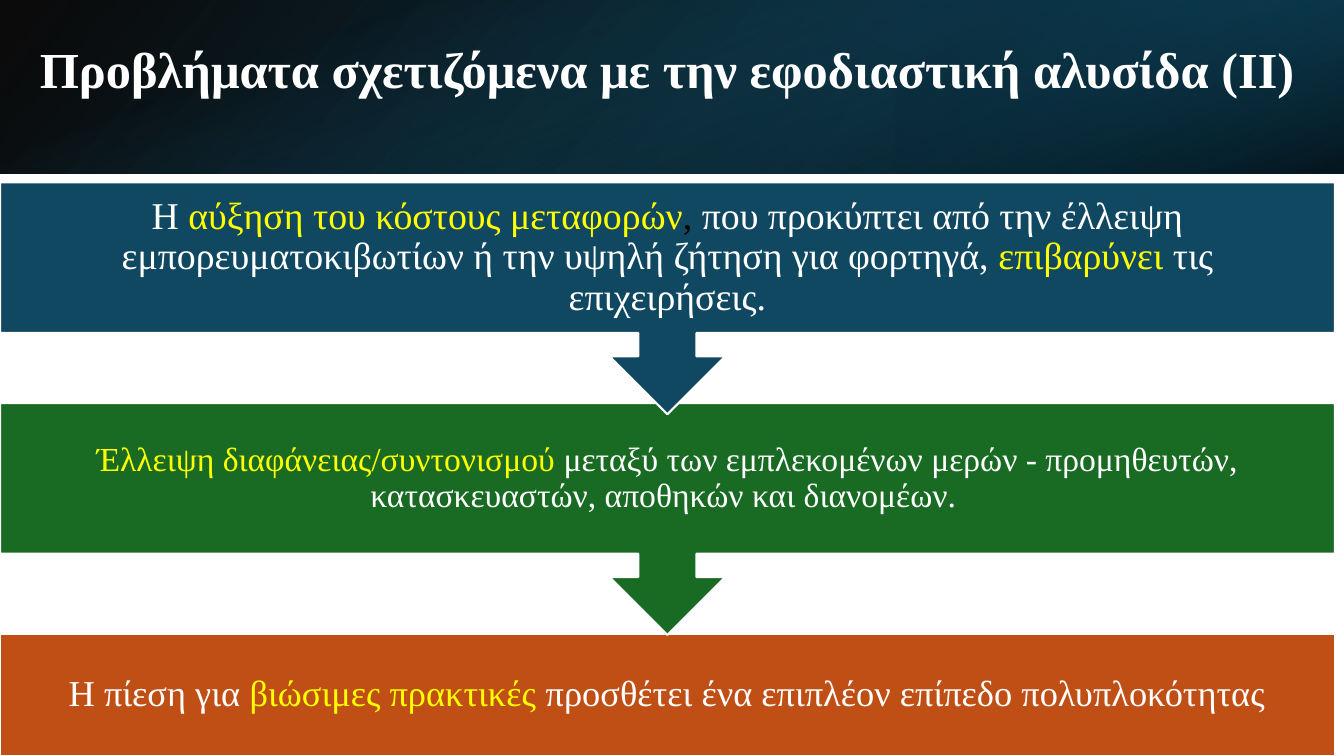
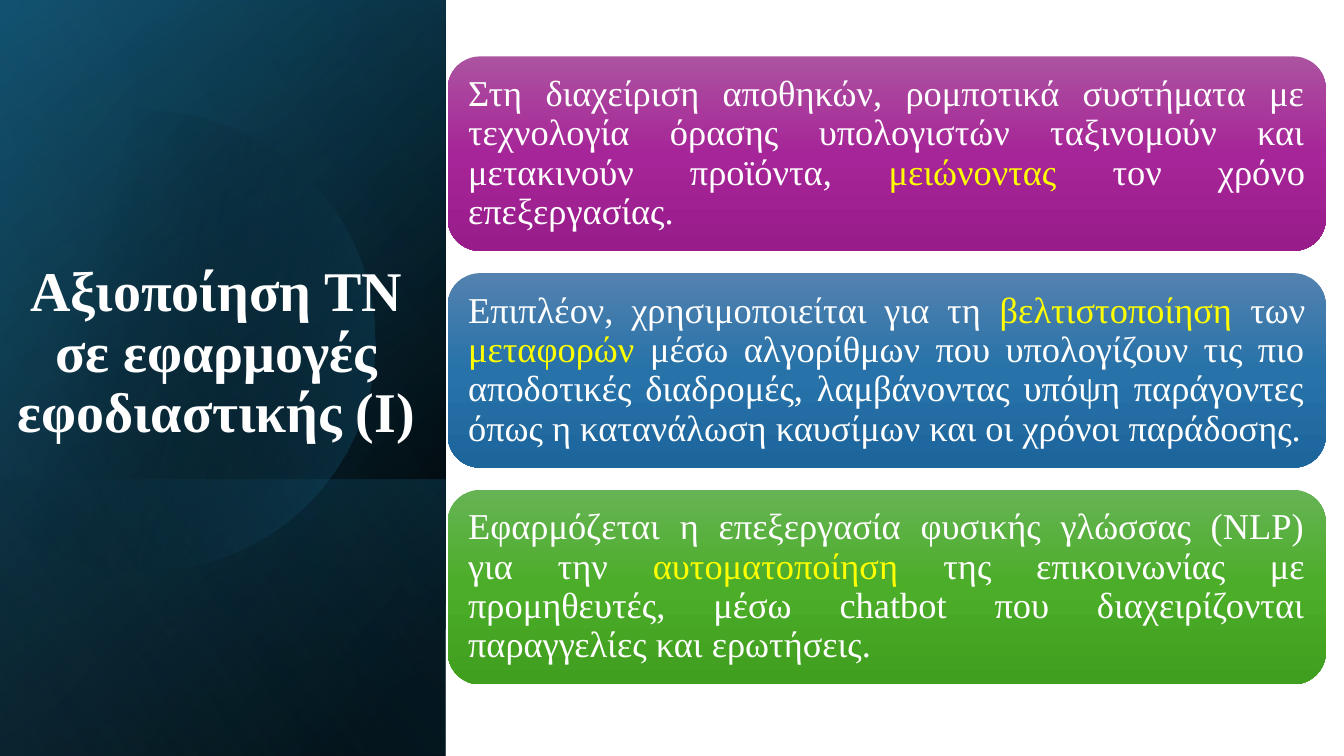
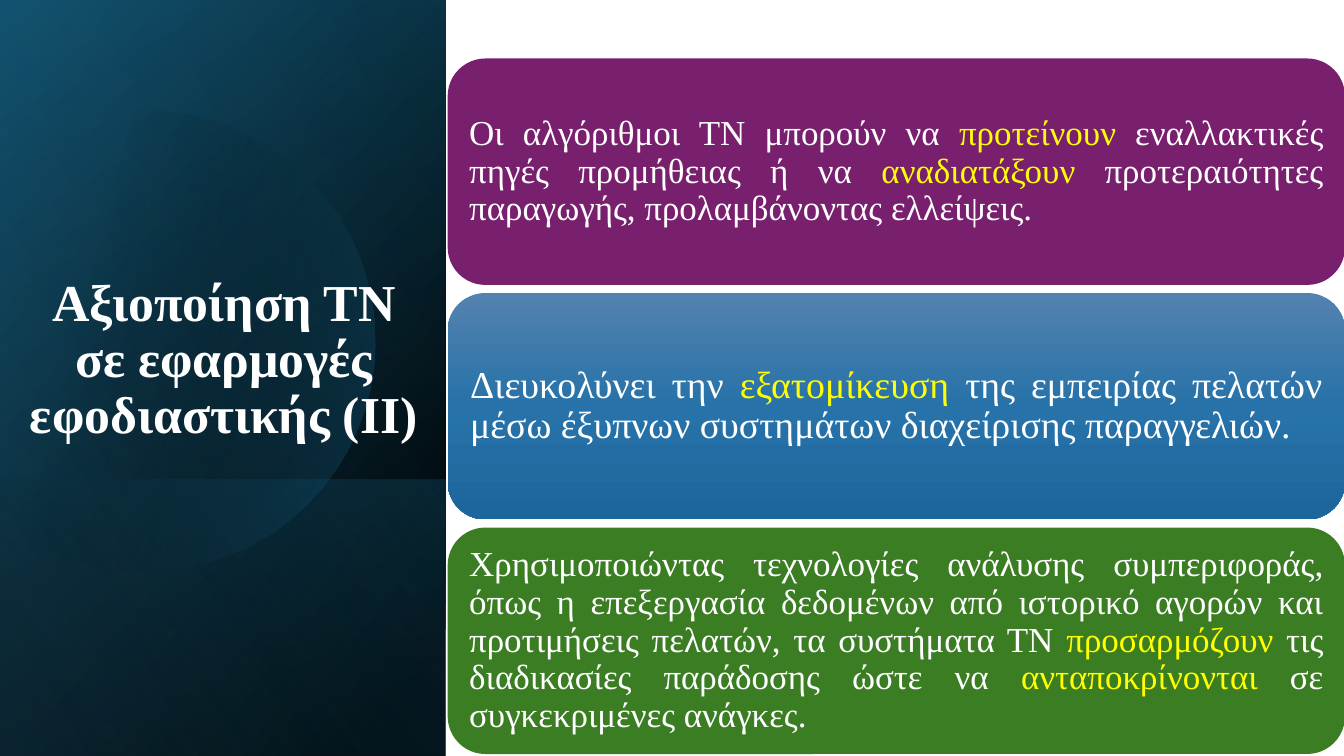
from pptx import Presentation
from pptx import util as u
from pptx.dml.color import RGBColor
from pptx.enum import shapes, text
from pptx.oxml import parse_xml
from pptx.oxml.ns import nsdecls, qn

FONT = "Times New Roman"
COLORS = {
    "white": "FFFFFF", "yellow": "FFFF00", "black": "000000",
    "navy": "104862", "teal": "156082", "deep": "0B3041", "sky": "46B1E1",
    "green": "196B24", "orange": "C04F15", "plum": "78206E", "leaf": "3B7D23",
    "purple_top": "AC53A0", "purple_mid": "A62598", "purple_low": "991C8B",
    "blue_top": "5382AF", "blue_mid": "2772A9", "blue_low": "1D669C",
    "lime_top": "66B354", "lime_mid": "4BAD28", "lime_low": "409F1E",
}
W, Y = "white", "yellow"
SLIDE_W, SLIDE_H = 13.33, 7.5
SIDEBAR_W = 4.42
CENTER, JUSTIFY = text.PP_ALIGN.CENTER, text.PP_ALIGN.JUSTIFY
MIDDLE, BOTTOM = text.MSO_ANCHOR.MIDDLE, text.MSO_ANCHOR.BOTTOM
SHAPE = shapes.MSO_SHAPE


def rgb(name):
    return RGBColor.from_string(COLORS[name])


def fill_gradient(shape, stops, angle):
    """Stops are (position %, colour, opacity %); the angle runs clockwise."""
    stop_xml = "".join(
        f'<a:gs pos="{pos * 1000}"><a:srgbClr val="{COLORS[color]}">'
        f'<a:alpha val="{alpha * 1000}"/></a:srgbClr></a:gs>'
        for pos, color, alpha in stops)
    shape.fill.background()
    properties = shape.element.spPr
    properties.replace(properties.find(qn("a:noFill")), parse_xml(
        f'<a:gradFill rotWithShape="1" {nsdecls("a")}><a:gsLst>{stop_xml}</a:gsLst>'
        f'<a:lin ang="{angle * 60000}" scaled="0"/></a:gradFill>'))


def vertical(hue):
    return [(0, hue + "_top", 100), (50, hue + "_mid", 100), (100, hue + "_low", 100)]


def add_box(slide, kind, box, fill):
    """A fill is either a colour name or the stops of a top-down gradient."""
    shape = slide.shapes.add_shape(kind, *map(u.Inches, box))
    shape.shadow.inherit = False
    shape.line.fill.background()
    if isinstance(fill, str):
        shape.fill.solid()
        shape.fill.fore_color.rgb = rgb(fill)
    else:
        fill_gradient(shape, fill, 90)
    return shape


def add_glow(slide, box, stops, angle, rotation=0, flip=True):
    """Gradient rectangle covering the box as seen after its rotation."""
    left, top, width, height = box
    if rotation == 90:
        left, top = left + (width - height) / 2, top + (height - width) / 2
        width, height = height, width
    glow = add_box(slide, SHAPE.RECTANGLE, (left, top, width, height), "navy")
    fill_gradient(glow, stops, angle)
    glow.rotation = rotation
    if flip:
        glow.element.spPr.xfrm.set("flipH", "1")


def write(shape, runs, size, align, anchor, inset=None, bold=False):
    frame = shape.text_frame
    frame.word_wrap = True
    frame.vertical_anchor = anchor
    if inset is not None:
        frame.margin_left = frame.margin_right = inset
        frame.margin_top = frame.margin_bottom = inset
    paragraph = frame.paragraphs[0]
    paragraph.alignment = align
    paragraph.line_spacing = 0.9
    for words, color in runs:
        run = paragraph.add_run()
        run.text = words
        run.font.name, run.font.size, run.font.bold = FONT, u.Pt(size), bold
        run.font.color.rgb = rgb(color)


def add_title(slide, box, words, size, anchor):
    title = slide.shapes.add_textbox(*map(u.Inches, box))
    write(title, [(words, W)], size, CENTER, anchor, bold=True)


def bezier(p0, p1, p2, p3, steps=16):
    for i in range(1, steps + 1):
        t = i / steps
        yield tuple((1 - t) ** 3 * a + 3 * (1 - t) ** 2 * t * b
                    + 3 * (1 - t) * t ** 2 * c + t ** 3 * d
                    for a, b, c, d in zip(p0, p1, p2, p3))


def add_disc(slide, left, top):
    """Faint disc, cut off along its left side."""
    start = (1.49, 1.1)
    segments = [
        [(2.46, 1.12), (3.35, 1.77), (3.63, 2.75)],
        [(3.98, 3.97), (3.28, 5.23), (2.07, 5.58)],
        [(1.31, 5.8), (0.53, 5.61), (-0.03, 5.14)],
        [(-0.15, 5.03)], [(-0.15, 1.75)], [(0, 1.61)],
        [(0.23, 1.42), (0.5, 1.28), (0.8, 1.19)],
        [(1.03, 1.13), (1.26, 1.1), (1.49, 1.1)],
    ]
    points = [start]
    for segment in segments:
        points += bezier(points[-1], *segment) if len(segment) == 3 else segment
    outline = [(u.Inches(left + x), u.Inches(top + y)) for x, y in points]
    builder = slide.shapes.build_freeform(*outline[0])
    builder.add_line_segments(outline[1:], close=True)
    disc = builder.convert_to_shape()
    disc.shadow.inherit = False
    disc.line.fill.background()
    fill_gradient(disc, [(29, "black", 0), (100, "teal", 43)], 14)


def add_header(slide, box, words):
    left, top, width, height = box
    third = width / 3
    add_glow(slide, box, [(0, "black", 96), (100, "navy", 100)], 140)
    add_glow(slide, (left + 2 * third, top, third, height),
             [(19, "deep", 68), (100, "teal", 79)], 320, 180)
    add_glow(slide, box, [(23, "teal", 0), (99, "black", 74)], 340, 90, flip=False)
    add_title(slide, (left + 0.23, top + 0.09, 12.78, 1.25), words, 36, MIDDLE)


def add_sidebar(slide, box):
    left, top, width, height = box
    foot = 2.74
    add_glow(slide, box, [(8, "black", 100), (100, "navy", 100)], 50, 90)
    add_glow(slide, box, [(0, "black", 0), (99, "teal", 46)], 30, 90)
    add_glow(slide, (left, top + height - foot, width, foot),
             [(2, "teal", 29), (100, "black", 30)], 130, 90)
    add_disc(slide, left, top)
    add_glow(slide, box, [(0, "black", 0), (99, "sky", 11)], 120, 90)


def add_flow(slide, box, steps):
    """Stacked steps, the last at the back so that each arrow overlaps the next."""
    left, top, width, height = box
    for kind, offset, step_height, fill, size, runs in reversed(steps):
        step = add_box(slide, kind, (left, top + offset, width, step_height), fill)
        step.line.color.rgb = rgb(W)
        step.line.width = u.Pt(1.5)
        write(step, runs, size, CENTER, MIDDLE, u.Pt(size * 0.56))


def add_cards(slide, box, gap, cards):
    left, top, width, height = box
    card_height = (height - gap * (len(cards) - 1)) / len(cards)
    for i, (fill, size, runs) in enumerate(cards):
        card_top = top + i * (card_height + gap)
        card = add_box(slide, SHAPE.ROUNDED_RECTANGLE,
                       (left, card_top, width, card_height), fill)
        write(card, runs, size, JUSTIFY, MIDDLE, u.Pt(size * 0.3))


def problems_slide(slide):
    add_header(slide, (0, 0, SLIDE_W, 1.72),
               "Προβλήματα σχετιζόμενα με την εφοδιαστική αλυσίδα (ΙI)")
    add_flow(slide, (0, 1.81, 13.24, 5.69), [
        (SHAPE.DOWN_ARROW_CALLOUT, 0, 2.3, "navy", 27, [
            ("H ", W), ("αύξηση του κόστους μεταφορών", Y), (", ", "black"),
            ("που προκύπτει από την έλλειψη εμπορευματοκιβωτίων ή την υψηλή "
             "ζήτηση για φορτηγά, ", W),
            ("επιβαρύνει", Y), (" τις επιχειρήσεις.", W)]),
        (SHAPE.DOWN_ARROW_CALLOUT, 2.19, 2.3, "green", 24, [
            ("Έλλειψη διαφάνειας/συντονισμού ", Y),
            ("μεταξύ των εμπλεκομένων μερών - προμηθευτών, κατασκευαστών, "
             "αποθηκών και διανομέων. ", W)]),
        (SHAPE.RECTANGLE, 4.48, 1.21, "orange", 26, [
            ("H πίεση για ", W), ("βιώσιμες πρακτικές ", Y),
            ("προσθέτει ένα επιπλέον επίπεδο πολυπλοκότητας", W)]),
    ])


def applications_slide(slide, title, title_box, title_size, cards_box, gap, cards):
    add_sidebar(slide, (0, 0, SIDEBAR_W, SLIDE_H))
    add_title(slide, title_box, title, title_size, BOTTOM)
    add_cards(slide, cards_box, gap, cards)


CARDS_I = [
    (vertical("purple"), 26, [
        ("Στη διαχείριση αποθηκών, ρομποτικά συστήματα με τεχνολογία όρασης "
         "υπολογιστών ταξινομούν και μετακινούν προϊόντα, ", W),
        ("μειώνοντας", Y), (" τον χρόνο επεξεργασίας. ", W)]),
    (vertical("blue"), 26, [
        ("Επιπλέον, χρησιμοποιείται για τη ", W), ("βελτιστοποίηση", Y),
        (" των ", W), ("μεταφορών", Y),
        (" μέσω αλγορίθμων που υπολογίζουν τις πιο αποδοτικές διαδρομές, "
         "λαμβάνοντας υπόψη παράγοντες όπως η κατανάλωση καυσίμων και οι "
         "χρόνοι παράδοσης.", W)]),
    (vertical("lime"), 26, [
        ("Εφαρμόζεται η επεξεργασία φυσικής γλώσσας (NLP) για την ", W),
        ("αυτοματοποίηση", Y),
        (" της επικοινωνίας με προμηθευτές, μέσω chatbot που διαχειρίζονται "
         "παραγγελίες και ερωτήσεις.", W)]),
]

CARDS_II = [
    ("plum", 25, [
        ("Οι αλγόριθμοι ΤΝ μπορούν να ", W), ("προτείνουν", Y),
        (" εναλλακτικές πηγές προμήθειας ή να ", W), ("αναδιατάξουν", Y),
        (" προτεραιότητες παραγωγής, προλαμβάνοντας ελλείψεις. ", W)]),
    (vertical("blue"), 27, [
        ("Διευκολύνει την ", W), ("εξατομίκευση", Y),
        (" της εμπειρίας πελατών μέσω έξυπνων συστημάτων διαχείρισης "
         "παραγγελιών.", W)]),
    ("leaf", 25, [
        ("Χρησιμοποιώντας τεχνολογίες ανάλυσης συμπεριφοράς, όπως η επεξεργασία "
         "δεδομένων από ιστορικό αγορών και προτιμήσεις πελατών, τα συστήματα "
         "ΤΝ ", W),
        ("προσαρμόζουν", Y), (" τις διαδικασίες παράδοσης ώστε να ", W),
        ("ανταποκρίνονται", Y), (" σε συγκεκριμένες ανάγκες.", W)]),
]


def main():
    deck = Presentation()
    deck.slide_width, deck.slide_height = u.Inches(SLIDE_W), u.Inches(SLIDE_H)
    blank = deck.slide_layouts[6]
    problems_slide(deck.slides.add_slide(blank))
    applications_slide(
        deck.slides.add_slide(blank), "Αξιοποίηση ΤΝ σε εφαρμογές εφοδιαστικής (Ι)",
        (0, 1.84, 4.29, 2.62), 40, (4.44, 0.56, 8.71, 6.23), 0.22, CARDS_I)
    applications_slide(
        deck.slides.add_slide(blank), "Αξιοποίηση ΤΝ σε εφαρμογές εφοδιαστικής (ΙΙ)",
        (0.17, 1.84, 4.1, 2.62), 37, (4.44, 0.58, 8.9, 6.9), 0.08, CARDS_II)
    deck.save("out.pptx")


if __name__ == "__main__":
    main()
